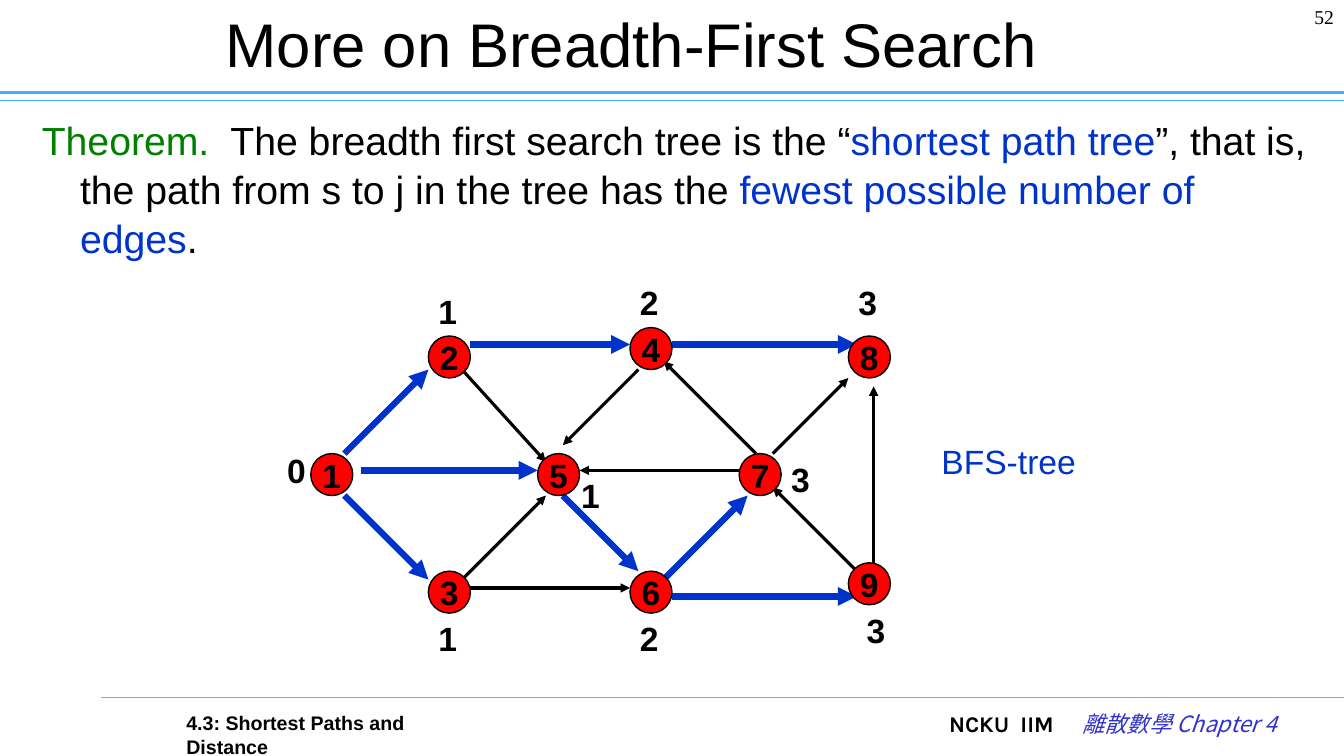
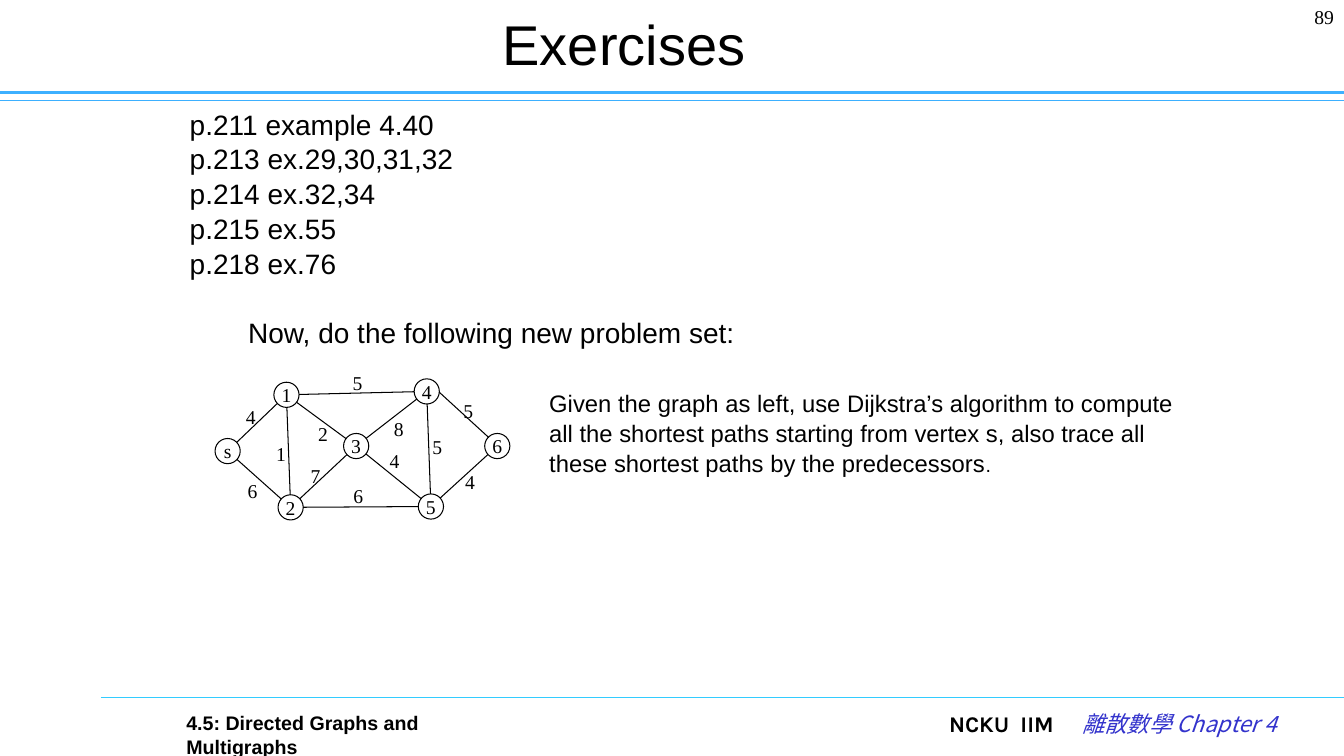
from dataclasses import dataclass
from math import hypot
from typing import NamedTuple

from lxml.etree import SubElement as Sub
from pptx import Presentation
from pptx.dml.color import RGBColor as Rgb
from pptx.enum.shapes import MSO_CONNECTOR as Link, MSO_SHAPE as Form
from pptx.enum.text import MSO_ANCHOR as Anchor, PP_ALIGN as Align
from pptx.oxml.ns import qn
from pptx.util import Inches, Pt

COLS, ROWS = 160, 90
WIDE, HIGH = Inches(13.33), Inches(7.5)
HUE = {
    "black": "000000", "red": "FF0000", "green": "008000", "blue": "0033CC",
    "violet": "3333CC", "sky": "3DB0FF", "cyan": "33CCFF",
}
SANS, SERIF, BRAND, HAN = "Arial", "Times New Roman", "Karla", "Noto Sans CJK SC"


class Box(NamedTuple):
    x: float
    y: float
    w: float
    h: float


class Spot(NamedTuple):
    text: str
    x: float
    y: float


class Edge(NamedTuple):
    x1: float
    y1: float
    x2: float
    y2: float


@dataclass
class Run:
    text: str
    hue: str | None = None
    size: float | None = None
    font: str | None = None
    bold: bool | None = None
    ital: bool = False


@dataclass
class Look:
    size: float
    font: str
    bold: bool
    edge: float
    fill: str | None
    form: Form
    dot: float


BFS = Look(24, SANS, True, 1, "red", Form.OVAL, 5)
NET = Look(14, SERIF, False, 0.75, None, Form.FLOWCHART_CONNECTOR, 3)

DOTS = [
    Spot("1", 37, 54), Spot("2", 51, 40), Spot("3", 51, 68),
    Spot("4", 75, 39), Spot("5", 64, 54), Spot("6", 75, 68),
    Spot("7", 88, 54), Spot("8", 101, 40), Spot("9", 101, 67),
]
LEVELS = [
    Spot("0", 33, 53), Spot("1", 51, 34), Spot("2", 75, 33),
    Spot("3", 101, 33), Spot("1", 68, 56), Spot("3", 93, 54),
    Spot("1", 51, 73), Spot("2", 75, 73), Spot("3", 102, 72),
]
REST = [
    Edge(92, 54, 101, 45), Edge(90, 54, 79, 43), Edge(76, 44, 67, 53),
    Edge(55, 69, 65, 59), Edge(56, 70, 75, 70), Edge(102, 68, 92, 58),
    Edge(104, 67, 104, 46), Edge(88, 56, 69, 56), Edge(55, 44, 65, 55),
]
TREE = [
    Edge(41, 54, 51, 44), Edge(43, 56, 64, 56), Edge(41, 59, 51, 69),
    Edge(56, 41, 75, 41), Edge(80, 41, 102, 41), Edge(67, 59, 76, 68),
    Edge(79, 69, 89, 59), Edge(80, 71, 102, 71),
]
HUBS = [
    Spot("s", 25.6, 52.2), Spot("1", 32.6, 45.5), Spot("2", 33.1, 58.9),
    Spot("3", 40.9, 51.6), Spot("4", 49.3, 45.1), Spot("5", 49.8, 58.8),
    Spot("6", 57.7, 51.6),
]
PAIRS = ["s1", "s2", "12", "13", "14", "23", "25", "34", "35", "45", "56"]
COSTS = [
    Spot("4", 28.1, 47.6), Spot("6", 28.3, 56.4), Spot("1", 31.7, 52),
    Spot("2", 36.7, 49.6), Spot("5", 40.8, 43.6), Spot("7", 35.8, 54.6),
    Spot("5", 54, 46.9), Spot("5", 50.3, 51.2), Spot("8", 45.7, 49),
    Spot("4", 45.2, 52.9), Spot("6", 40.9, 57), Spot("4", 54.2, 55.4),
]


def col(n: float) -> int:
    return round(WIDE * n / COLS)


def row(n: float) -> int:
    return round(HIGH * n / ROWS)


def tint(name: str) -> Rgb:
    return Rgb.from_string(HUE[name])


def place(box: Box) -> tuple[int, int, int, int]:
    return col(box.x), row(box.y), col(box.w), row(box.h)


def write(frame, paras, *, size=14, font=SANS, hue="black", bold=False,
          align=Align.LEFT, anchor=Anchor.TOP, wrap=True, hang=0.0,
          lead=None, tab=None) -> None:
    frame.word_wrap = wrap
    frame.vertical_anchor = anchor
    if isinstance(paras, str):
        paras = [[Run(paras)]]
    for i, runs in enumerate(paras):
        para = frame.paragraphs[0] if i == 0 else frame.add_paragraph()
        para.alignment = align
        if lead:
            para.line_spacing = lead
        props = para._p.get_or_add_pPr()
        if hang:
            props.set("marL", str(Inches(hang)))
            props.set("indent", str(-Inches(hang)))
        if tab:
            stops = Sub(props, qn("a:tabLst"))
            Sub(stops, qn("a:tab"), pos=str(Inches(tab)), algn="l")
        for item in runs:
            run = para.add_run()
            run.text = item.text
            face = run.font
            face.size = Pt(item.size or size)
            face.name = item.font or font
            face.bold = bold if item.bold is None else item.bold
            face.italic = item.ital
            face.color.rgb = tint(item.hue or hue)
            Sub(run._r.get_or_add_rPr(), qn("a:ea"), typeface=item.font or font)


def label(slide, box: Box, paras, **form):
    shape = slide.shapes.add_textbox(*place(box))
    write(shape.text_frame, paras, **form)
    return shape.text_frame


def line(slide, edge: Edge, hue: str, width: float, head: bool = False) -> None:
    wire = slide.shapes.add_connector(
        Link.STRAIGHT, col(edge.x1), row(edge.y1), col(edge.x2), row(edge.y2))
    wire.line.color.rgb = tint(hue)
    wire.line.width = Pt(width)
    if head:
        Sub(wire.line._get_or_add_ln(), qn("a:tailEnd"), type="triangle")
    Sub(wire._element.spPr, qn("a:effectLst"))


def node(slide, spot: Spot, look: Look) -> None:
    box = Box(spot.x, spot.y, look.dot, look.dot)
    shape = slide.shapes.add_shape(look.form, *place(box))
    shape.shadow.inherit = False
    if look.fill:
        shape.fill.solid()
        shape.fill.fore_color.rgb = tint(look.fill)
    else:
        shape.fill.background()
    shape.line.color.rgb = tint("black")
    shape.line.width = Pt(look.edge)
    write(shape.text_frame, spot.text, size=look.size, font=look.font,
          bold=look.bold, align=Align.CENTER, anchor=Anchor.MIDDLE, wrap=False)


def trim(a: Spot, b: Spot, dot: float) -> Edge:
    half = dot / 2
    dx, dy = b.x - a.x, b.y - a.y
    far = hypot(dx, dy)
    ux, uy = dx / far * half, dy / far * half
    return Edge(a.x + half + ux, a.y + half + uy,
                b.x + half - ux, b.y + half - uy)


def base(deck, title: str, size: float, page: str, foot: str):
    slide = deck.slides.add_slide(deck.slide_layouts[6])
    line(slide, Edge(0, 12, COLS, 12), "sky", 0.75)
    line(slide, Edge(0, 11, COLS, 11), "sky", 2.5)
    line(slide, Edge(12, 83, COLS, 83), "cyan", 0.75)
    label(slide, Box(111.8, 84, 45, 6),
          [[Run("NCKU  IIM\t", font=BRAND, bold=True),
            Run("離散數學 Chapter 4", "violet", font=HAN, ital=True)]],
          size=16, tab=1.32)
    label(slide, Box(146.7, 0, 13.3, 6), page, font=SERIF, align=Align.RIGHT)
    label(slide, Box(3.8, 0, 142.8, 10.3), title, size=size,
          align=Align.CENTER, anchor=Anchor.MIDDLE)
    label(slide, Box(21, 84.1, 36, 4), foot, bold=True)
    return slide


def search(deck) -> None:
    slide = base(deck, "More on Breadth-First Search", 44, "52",
                 "4.3: Shortest Paths and Distance")
    label(slide, Box(3.8, 13, 154.5, 18), [[
        Run("Theorem. ", "green"),
        Run(" The breadth first search tree is the “"),
        Run("shortest path tree", "blue"),
        Run("”, that is, the path from s to j in the tree has the "),
        Run("fewest possible number of edges", "blue"),
        Run("."),
    ]], size=28, hang=0.38, lead=1.04)
    for spot in LEVELS:
        label(slide, Box(spot.x, spot.y, 4, 6), spot.text, size=24, bold=True)
    for edge in REST:
        line(slide, edge, "black", 2.25, True)
    for edge in TREE:
        line(slide, edge, "blue", 4.5, True)
    for spot in DOTS:
        node(slide, spot, BFS)
    label(slide, Box(110.9, 51.9, 18.6, 6), "BFS-tree", size=24, hue="blue",
          wrap=False)


def drill(deck) -> None:
    slide = base(deck, "Exercises ", 40, "89",
                 "4.5: Directed Graphs and Multigraphs")
    tasks = ["p.211 example 4.40", "p.213 ex.29,30,31,32", "p.214 ex.32,34",
             "p.215 ex.55", "p.218 ex.76",
             "Now, do the following new problem set:"]
    frame = label(slide, Box(21.4, 12, 121, 30), [[Run(t)] for t in tasks],
                  size=20, lead=1.04)
    last = frame.paragraphs[-1]
    last.space_before = Pt(24)
    last._p.get_or_add_pPr().set("marL", str(Inches(0.58)))
    hubs = {spot.text: spot for spot in HUBS}
    for a, b in PAIRS:
        line(slide, trim(hubs[a], hubs[b], NET.dot), "black", NET.edge)
    line(slide, Edge(52.3, 46.7, 58.2, 52.1), "black", NET.edge)
    for spot in HUBS:
        node(slide, spot, NET)
    for spot in COSTS:
        label(slide, Box(spot.x, spot.y, 3.6, 4), spot.text, font=SERIF,
              wrap=False)
    label(slide, Box(64.2, 45.6, 78.2, 11.5), [[
        Run("Given the graph as left, use Dijkstra’s algorithm to compute "
            "all the shortest paths starting from vertex s, also trace all "
            "these shortest paths by the predecessors"),
        Run(".", size=14),
    ]], size=17, lead=1.04)


def main() -> None:
    deck = Presentation()
    deck.slide_width, deck.slide_height = WIDE, HIGH
    search(deck)
    drill(deck)
    deck.save("out.pptx")


if __name__ == "__main__":
    main()
